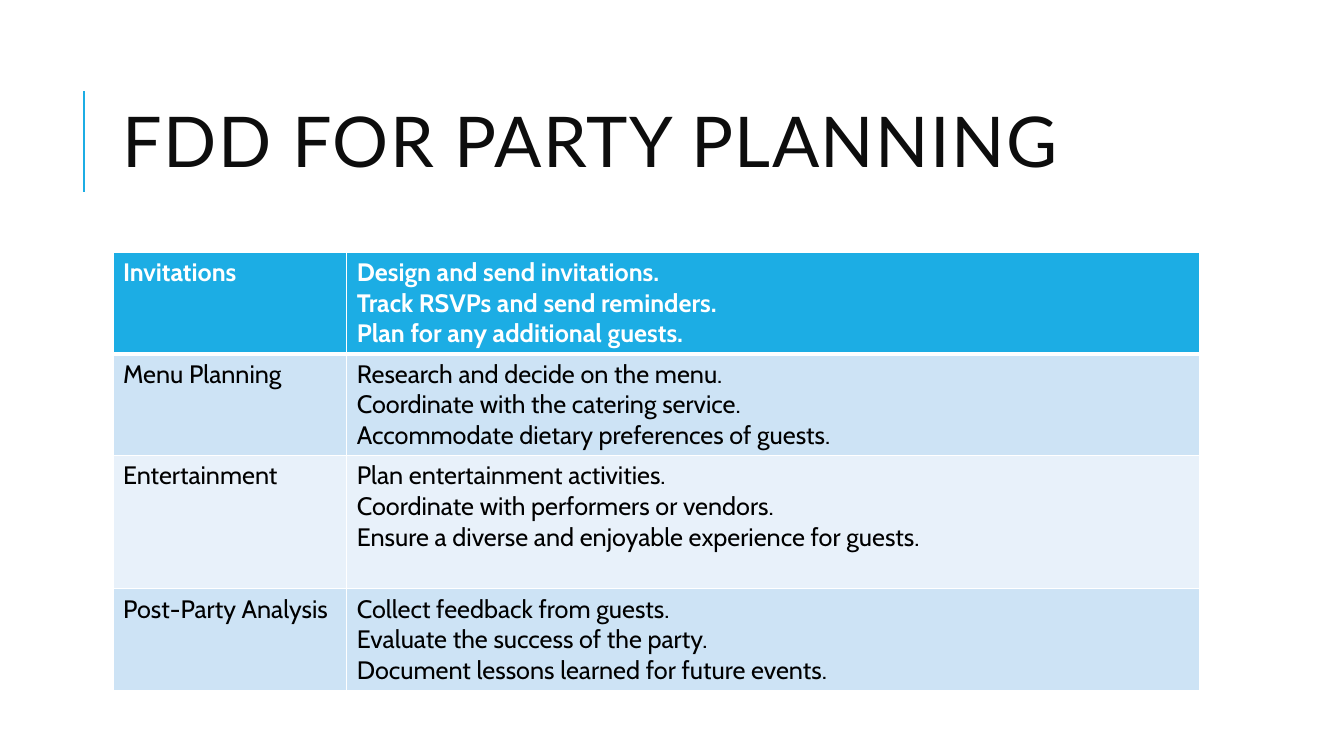
from lxml.etree import SubElement
from pptx import Presentation
from pptx.dml.color import RGBColor
from pptx.enum.shapes import MSO_CONNECTOR
from pptx.enum.text import MSO_ANCHOR
from pptx.oxml import parse_xml
from pptx.oxml.ns import nsdecls, qn
from pptx.util import Inches, Pt

ACCENT, WHITE, BLACK, TITLE_INK = "1CADE4", "FFFFFF", "000000", "0D0D0D"
BANDS = ("CDE3F5", "E8F1FA")
LABEL_WIDTH = 2.32
FEATURES = [
    ("Invitations", 1.01, [
        "Design and send invitations.",
        "Track RSVPs and send reminders.",
        "Plan for any additional guests."]),
    ("Menu Planning", 1.01, [
        "Research and decide on the menu.",
        "Coordinate with the catering service.",
        "Accommodate dietary preferences of guests."]),
    ("Entertainment", 1.32, [
        "Plan entertainment activities.",
        "Coordinate with performers or vendors.",
        "Ensure a diverse and enjoyable experience for guests."]),
    ("Post-Party Analysis", 1.01, [
        "Collect feedback from guests.",
        "Evaluate the success of the party.",
        "Document lessons learned for future events."]),
]


def color(value):
    """Turn a hex string into a colour."""
    return RGBColor.from_string(value)


def add_span(para, text, font, size, ink, bold=False):
    """Add one formatted run to a paragraph."""
    span = para.add_run()
    span.text = text
    span.font.name = font
    span.font.size = Pt(size)
    span.font.bold = bold
    span.font.color.rgb = color(ink)
    return span


def add_title(page, box, text):
    """Place the title in its box with the accent rule at its left."""
    left, top, width, height = box
    rule_left, rule_top = left - 0.29, top + 0.26
    rule = page.shapes.add_connector(
        MSO_CONNECTOR.STRAIGHT, Inches(rule_left), Inches(rule_top + 1),
        Inches(rule_left), Inches(rule_top))
    rule.line.color.rgb = color(ACCENT)
    rule.line.width = Pt(1.5)
    SubElement(rule._element.spPr, qn("a:effectLst"))

    frame = page.shapes.add_textbox(*map(Inches, box)).text_frame
    frame.word_wrap = True
    frame.vertical_anchor = MSO_ANCHOR.MIDDLE
    para = frame.paragraphs[0]
    para.line_spacing = 0.8
    span = add_span(para, text, "Lato", 50, TITLE_INK)
    span.font._element.set("spc", "100")


def set_borders(cell, top, bottom):
    """Give a cell white borders, with top and bottom widths in points."""
    widths = {"lnL": 1, "lnR": 1, "lnT": top, "lnB": bottom}
    for index, (side, width) in enumerate(widths.items()):
        border = parse_xml(
            f'<a:{side} {nsdecls("a")} w="{Pt(width)}"><a:solidFill>'
            f'<a:srgbClr val="{WHITE}"/></a:solidFill></a:{side}>')
        cell._tc.get_or_add_tcPr().insert(index, border)


def fill_cell(cell, lines, row):
    """Write the lines of a cell and style it by its row."""
    header = row == 0
    cell.fill.solid()
    cell.fill.fore_color.rgb = color(ACCENT if header else BANDS[(row - 1) % 2])
    set_borders(cell, 3 if row == 1 else 1, 3 if header else 1)
    frame = cell.text_frame
    for index, line in enumerate(lines):
        para = frame.add_paragraph() if index else frame.paragraphs[0]
        add_span(para, line, "Cabin", 18, WHITE if header else BLACK, header)


def add_feature_table(page, box, features):
    """Place the table of features and their tasks in its box."""
    table = page.shapes.add_table(len(features), 2, *map(Inches, box)).table
    table.columns[0].width = Inches(LABEL_WIDTH)
    table.columns[1].width = Inches(box[2] - LABEL_WIDTH)
    for row, (label, height, tasks) in enumerate(features):
        table.rows[row].height = Inches(height)
        fill_cell(table.cell(row, 0), [label], row)
        fill_cell(table.cell(row, 1), tasks, row)


def main():
    """Build the slide and save it."""
    deck = Presentation()
    deck.slide_width, deck.slide_height = Inches(13.33), Inches(7.5)
    page = deck.slides.add_slide(deck.slide_layouts[6])
    add_title(page, (1.12, 0.64, 10.63, 1.64), "FDD FOR PARTY PLANNING")
    add_feature_table(page, (1.12, 2.5, 10.78, 4.35), FEATURES)
    deck.save("out.pptx")


if __name__ == "__main__":
    main()
